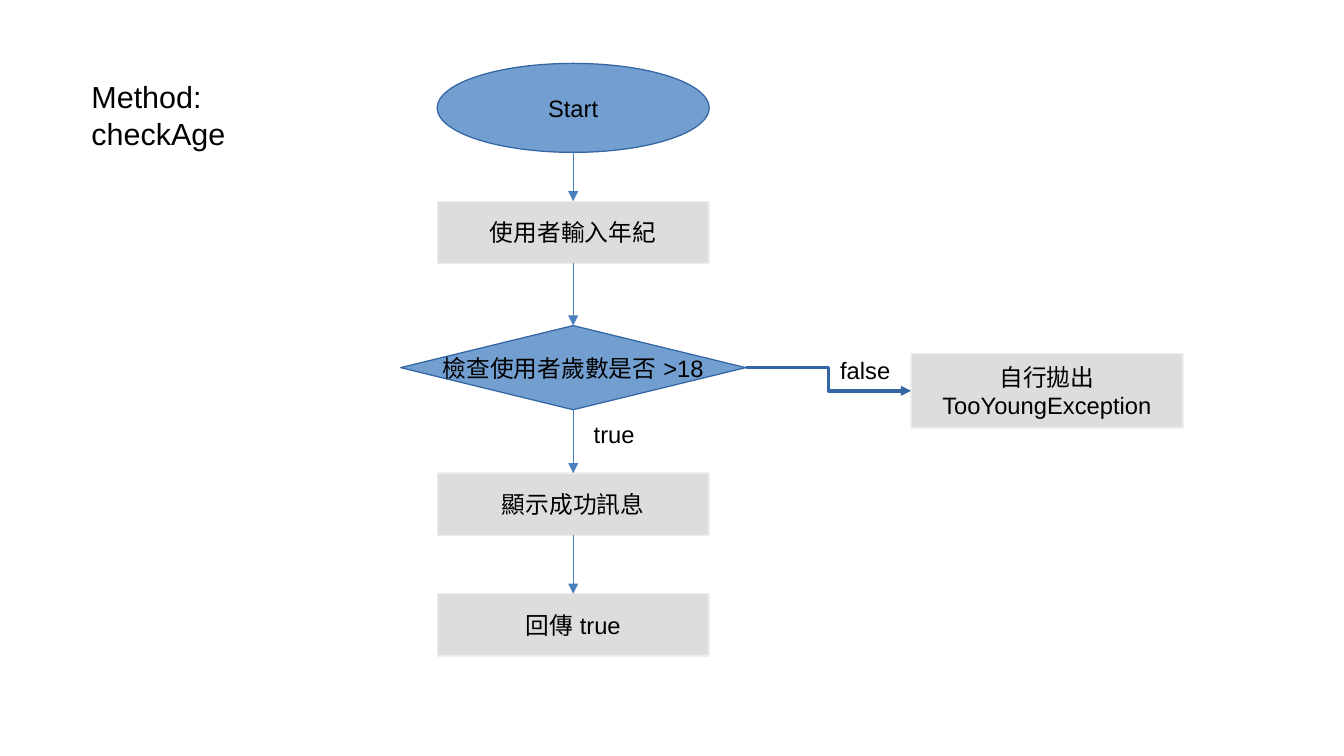
"""Build a flowchart slide for the checkAge method."""
import pptx
import pptx.dml.color
import pptx.enum.dml
import pptx.enum.shapes
import pptx.enum.text
import pptx.oxml
import pptx.oxml.ns
import pptx.util

Inches, Pt = pptx.util.Inches, pptx.util.Pt
Kind = pptx.enum.shapes.MSO_SHAPE
Route = pptx.enum.shapes.MSO_CONNECTOR
Align = pptx.enum.text.PP_ALIGN
Anchor = pptx.enum.text.MSO_ANCHOR

THEME = {
    "font": "Arial", "text": "000000", "title_size": 18, "body_size": 14,
    "blue": ("729FCF", "3465A4"), "grey": ("DDDDDD", "EEEEEE"),
    "arrow": ("4B7EBC", 0.75), "branch": ("3465A4", 0),
}
TITLE = ["Method:", "checkAge"]
MAIN_X, ERROR_X, NODE_WIDTH = 4.70, 8.585, 2.23
NODES = {
    "start": ("Start", Kind.OVAL, "blue", MAIN_X, 0.52, NODE_WIDTH, 0.73),
    "input": ("使用者輸入年紀", Kind.RECTANGLE, "grey", MAIN_X, 1.65, NODE_WIDTH, 0.51),
    "check": ("檢查使用者歲數是否 >18", Kind.DIAMOND, "blue", MAIN_X, 2.67, 2.83, 0.69),
    "success": ("顯示成功訊息", Kind.RECTANGLE, "grey", MAIN_X, 3.88, NODE_WIDTH, 0.51),
    "return": ("回傳 true", Kind.RECTANGLE, "grey", MAIN_X, 4.87, NODE_WIDTH, 0.51),
    "error": ("自行拋出TooYoungException", Kind.RECTANGLE, "grey", ERROR_X, 2.90, NODE_WIDTH, 0.61),
}
MAIN_FLOW = ["start", "input", "check", "success", "return"]
LABELS = [("false", 6.79, 2.87, 0.66, 0.28), ("true", 4.77, 3.39, 0.57, 0.28)]
TOP, LEFT, BOTTOM, RIGHT = range(4)


def color(value):
    return pptx.dml.color.RGBColor.from_string(value)


def apply(target, values):
    for name, value in values.items():
        setattr(target, name, value)


def write(box, lines, size, align, anchor, wrap=True):
    frame = box.text_frame
    frame.text = "\n".join(lines)
    apply(frame, {
        "word_wrap": wrap, "vertical_anchor": anchor,
        "auto_size": pptx.enum.text.MSO_AUTO_SIZE.NONE,
        "margin_left": Inches(0.1), "margin_right": Inches(0.1),
        "margin_top": Inches(0.05), "margin_bottom": Inches(0.05),
    })
    for para in frame.paragraphs:
        apply(para, {"alignment": align, "line_spacing": 1.0, "space_before": Pt(0)})
        for span in para.runs:
            apply(span.font, {"name": THEME["font"], "size": Pt(size)})
            span.font.color.rgb = color(THEME["text"])
            east_asian = pptx.oxml.parse_xml(
                '<a:ea %s typeface="%s"/>' % (pptx.oxml.ns.nsdecls("a"), THEME["font"]))
            span.font.latin_font = None
            span.font._element.append(east_asian)


def add_node(page, text, kind, style, center, top, width, height):
    shape = page.shapes.add_shape(
        kind, *map(Inches, (center - width / 2, top, width, height)))
    shape.shadow.inherit = False
    fill, line = THEME[style]
    shape.fill.solid()
    shape.fill.fore_color.rgb = color(fill)
    shape.line.color.rgb = color(line)
    shape.line.width = Pt(0)
    write(shape, [text], THEME["body_size"], Align.CENTER, Anchor.MIDDLE,
          wrap=kind != Kind.DIAMOND)
    return shape


def add_arrow(page, route, source, source_site, target, target_site, style):
    link = page.shapes.add_connector(
        route, source.left + source.width // 2, source.top + source.height, 0, 0)
    if source.auto_shape_type != Kind.OVAL:
        link.begin_connect(source, source_site)
    link.end_connect(target, target_site)
    line_color, width = THEME[style]
    link.line.color.rgb = color(line_color)
    link.line.width = Pt(width)
    namespace = pptx.oxml.ns.nsdecls("a")
    link.line._get_or_add_ln().append(
        pptx.oxml.parse_xml('<a:tailEnd %s type="triangle"/>' % namespace))
    link._element.spPr.append(pptx.oxml.parse_xml("<a:effectLst %s/>" % namespace))


deck = pptx.Presentation()
apply(deck, {"slide_width": Inches(11.02), "slide_height": Inches(6.2)})
page = deck.slides.add_slide(deck.slide_layouts[5])

title = page.shapes.title
apply(title, {"left": Inches(0.58), "top": Inches(0.59),
              "width": Inches(2.37), "height": Inches(0.98)})
write(title, TITLE, THEME["title_size"], Align.LEFT, Anchor.TOP)
title.text_frame.paragraphs[0]._p.get_or_add_pPr().set("marL", str(Inches(0.07)))

nodes = {name: add_node(page, *node) for name, node in NODES.items()}
for source, target in zip(MAIN_FLOW, MAIN_FLOW[1:]):
    add_arrow(page, Route.STRAIGHT, nodes[source], BOTTOM, nodes[target], TOP, "arrow")
add_arrow(page, Route.ELBOW, nodes["check"], RIGHT, nodes["error"], LEFT, "branch")

for text, *place in LABELS:
    label = page.shapes.add_textbox(*map(Inches, place))
    write(label, [text], THEME["body_size"], Align.LEFT, Anchor.TOP)

deck.save("out.pptx")
